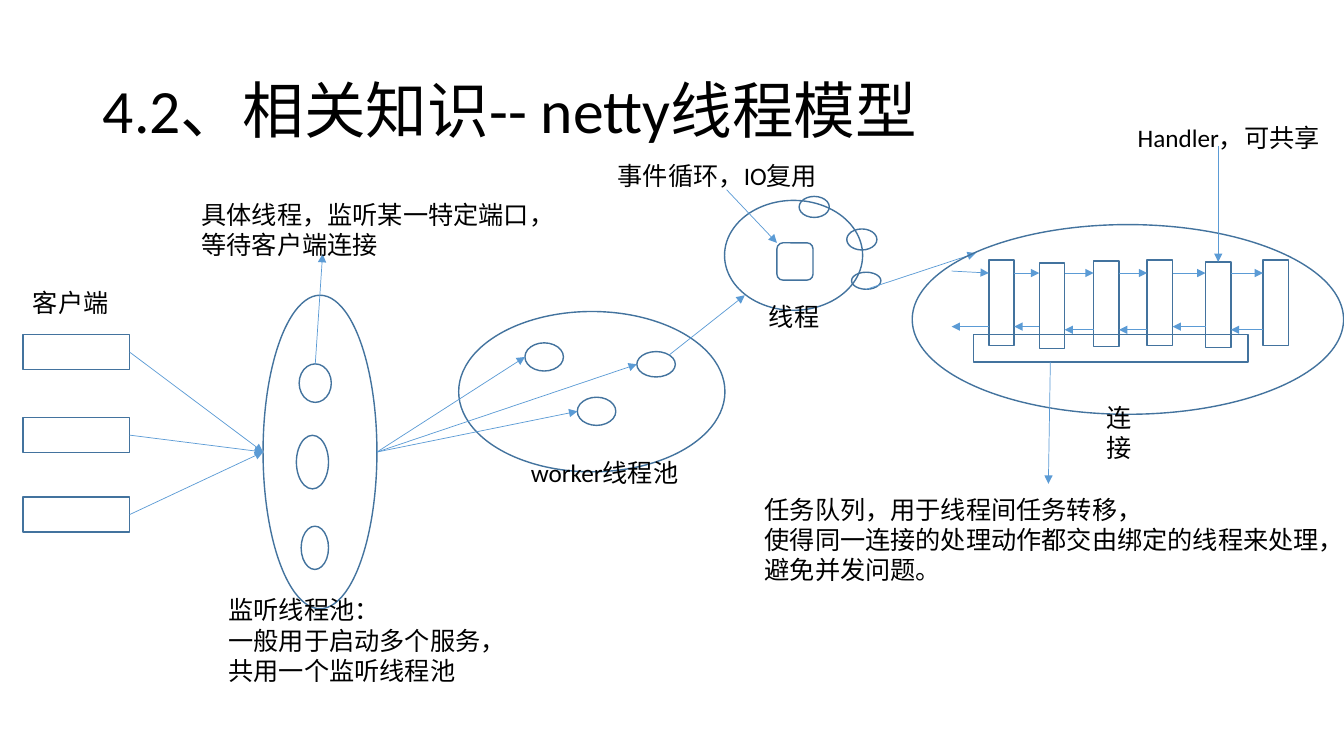
"""Draw the slide on the netty threading model."""
from dataclasses import dataclass
from itertools import pairwise
from typing import Optional

from lxml import etree
from pptx import Presentation
from pptx.dml.color import RGBColor
from pptx.enum import shapes as sh, text as tx
from pptx.oxml.ns import qn
from pptx.util import Cm, Pt


@dataclass(frozen=True)
class Theme:
    font: str = "Calibri"
    ink: RGBColor = RGBColor(0, 0, 0)
    edge: RGBColor = RGBColor(0x43, 0x73, 0x9E)
    flow: RGBColor = RGBColor(0x5B, 0x9B, 0xD5)
    head: int = 44
    body: int = 18
    rim: float = 1
    thin: float = 0.5


@dataclass(frozen=True)
class Box:
    left: float
    top: float
    wide: float
    high: float

    @property
    def west(self) -> tuple[float, float]:
        return self.left, self.top + self.high / 2

    @property
    def east(self) -> tuple[float, float]:
        return self.left + self.wide, self.top + self.high / 2

    @property
    def north(self) -> tuple[float, float]:
        return self.left + self.wide / 2, self.top

    @property
    def south(self) -> tuple[float, float]:
        return self.left + self.wide / 2, self.top + self.high


@dataclass(frozen=True)
class Label:
    box: Box
    text: str


THEME = Theme()
OVAL, RECT = sh.MSO_SHAPE.OVAL, sh.MSO_SHAPE.RECTANGLE
TOP, RIGHT = 0, 3

CLIENTS = [Box(0.58, y, 2.69, 0.89) for y in (8.43, 10.52, 12.52)]
LISTEN = Box(6.63, 7.44, 2.87, 7.9)
PORTS = [Box(7.54, 9.17, 0.81, 0.97), Box(7.47, 10.97, 0.81, 1.35),
         Box(7.59, 13.26, 0.69, 1.09)]
POOL = Box(11.56, 7.85, 6.71, 4.04)
WORKERS = [Box(13.23, 8.64, 0.97, 0.71), Box(16.05, 8.86, 0.97, 0.64),
           Box(14.55, 10.01, 0.97, 0.71)]
THREAD = Box(18.26, 5.05, 3.48, 2.77)
LOOP = Box(19.58, 6.12, 0.91, 0.94)
LINKS = [Box(20.14, 4.95, 0.76, 0.53), Box(21.34, 5.77, 0.76, 0.53),
         Box(21.46, 6.86, 0.74, 0.43)]
CHAIN = Box(22.99, 5.66, 10.87, 4.78)
STEPS = [Box(x, y, 0.64, 2.16) for x, y in (
    (24.92, 6.55), (26.19, 6.63), (27.56, 6.58),
    (28.91, 6.55), (30.38, 6.6), (31.83, 6.55))]
BACKS = (8.23, 8.31, 8.31, 8.23, 8.31)
QUEUE = Box(24.54, 8.43, 6.91, 0.69)

LABELS = [
    Label(Box(0.58, 7.11, 2.54, 1.02), "客户端"),
    Label(Box(4.83, 4.9, 9.5, 1.8), "具体线程，监听某一特定端口，\n等待客户端连接"),
    Label(Box(5.51, 14.86, 7.57, 2.57),
          "监听线程池：\n一般用于启动多个服务，\n共用一个监听线程池"),
    Label(Box(13.13, 11.4, 4.27, 1.02), "worker线程池"),
    Label(Box(15.32, 3.91, 5.59, 1.02), "事件循环，IO复用"),
    Label(Box(19.13, 7.47, 1.8, 1.02), "线程"),
    Label(Box(27.64, 10.01, 1.6, 0.79), "连接"),
    Label(Box(28.42, 2.95, 5.26, 1.02), "Handler，可共享"),
    Label(Box(19.02, 12.32, 15.27, 2.57),
          "任务队列，用于线程间任务转移，\n"
          "使得同一连接的处理动作都交由绑定的线程来处理，\n避免并发问题。"),
]


def place(box: Box) -> tuple[Cm, Cm, Cm, Cm]:
    """Turn a box into slide lengths."""
    return Cm(box.left), Cm(box.top), Cm(box.wide), Cm(box.high)


def write(frame, words: str, *, size: int = THEME.body,
          space: Optional[float] = None,
          anchor=tx.MSO_ANCHOR.TOP) -> None:
    """Fill a text frame and format each line."""
    frame.text = words
    frame.word_wrap = True
    frame.vertical_anchor = anchor
    for para in frame.paragraphs:
        para.alignment = tx.PP_ALIGN.LEFT
        para.line_spacing = space
        for run in para.runs:
            run.font.size = Pt(size)
            run.font.name = THEME.font
            run.font.color.rgb = THEME.ink


def draw(slide, kind, box: Box):
    """Draw one hollow outline."""
    item = slide.shapes.add_shape(kind, *place(box))
    item.shadow.inherit = False
    item.fill.background()
    item.line.color.rgb = THEME.edge
    item.line.width = Pt(THEME.rim)
    return item


def arrow(slide, start: tuple[float, float], stop: tuple[float, float]):
    """Draw a thin arrow between two points."""
    line = slide.shapes.add_connector(
        sh.MSO_CONNECTOR.STRAIGHT, *(Cm(n) for n in (*start, *stop)))
    line.line.color.rgb = THEME.flow
    line.line.width = Pt(THEME.thin)
    props = line._element.spPr
    etree.SubElement(props.find(qn("a:ln")), qn("a:tailEnd"), type="triangle")
    etree.SubElement(props, qn("a:effectLst"))
    return line


def listen(slide) -> None:
    """Draw the clients and the listening pool."""
    draw(slide, OVAL, LISTEN)
    for port in PORTS:
        draw(slide, OVAL, port)
    for box in CLIENTS:
        client = draw(slide, RECT, box)
        arrow(slide, box.east, LISTEN.west).begin_connect(client, RIGHT)
    arrow(slide, PORTS[0].north, (8.13, 6.4))


def work(slide) -> None:
    """Draw the worker pool and one of its threads."""
    for box in (POOL, *WORKERS, THREAD, *LINKS):
        draw(slide, OVAL, box)
    draw(slide, sh.MSO_SHAPE.ROUNDED_RECTANGLE, LOOP)
    for box in WORKERS:
        arrow(slide, LISTEN.east, box.west)
    arrow(slide, (16.87, 8.94), (18.77, 7.44))
    arrow(slide, (18.31, 4.78), (LOOP.left, LOOP.top))
    arrow(slide, LINKS[-1].south, (24.59, 6.38))


def chain(slide) -> None:
    """Draw the connection with its handlers and task queue."""
    draw(slide, OVAL, CHAIN)
    steps = [draw(slide, RECT, box) for box in STEPS]
    draw(slide, RECT, QUEUE)
    first = STEPS[0].left
    arrow(slide, (23.98, 6.83), (first, 6.88))
    arrow(slide, (first, 8.23), (23.98, 8.23))
    for (one, two), back in zip(pairwise(STEPS), BACKS):
        end = one.east[0]
        arrow(slide, (end, 6.88), (two.left, 6.88))
        arrow(slide, (two.left, back), (end, back))
    arrow(slide, (30.7, 3.68), STEPS[4].north).end_connect(steps[4], TOP)
    arrow(slide, (26.47, 9.12), (26.42, 12.19))


def main() -> None:
    """Build and save the slide."""
    deck = Presentation()
    deck.slide_width, deck.slide_height = Cm(33.87), Cm(19.05)
    slide = deck.slides.add_slide(deck.slide_layouts[5])
    title = slide.shapes.title
    title.left, title.top, title.width, title.height = place(
        Box(2.34, 1.01, 29.21, 3.68))
    write(title.text_frame, "4.2、相关知识-- netty线程模型", size=THEME.head,
          space=0.9, anchor=tx.MSO_ANCHOR.MIDDLE)
    listen(slide)
    work(slide)
    chain(slide)
    for label in LABELS:
        note = slide.shapes.add_textbox(*place(label.box))
        write(note.text_frame, label.text)
    deck.save("out.pptx")


if __name__ == "__main__":
    main()
